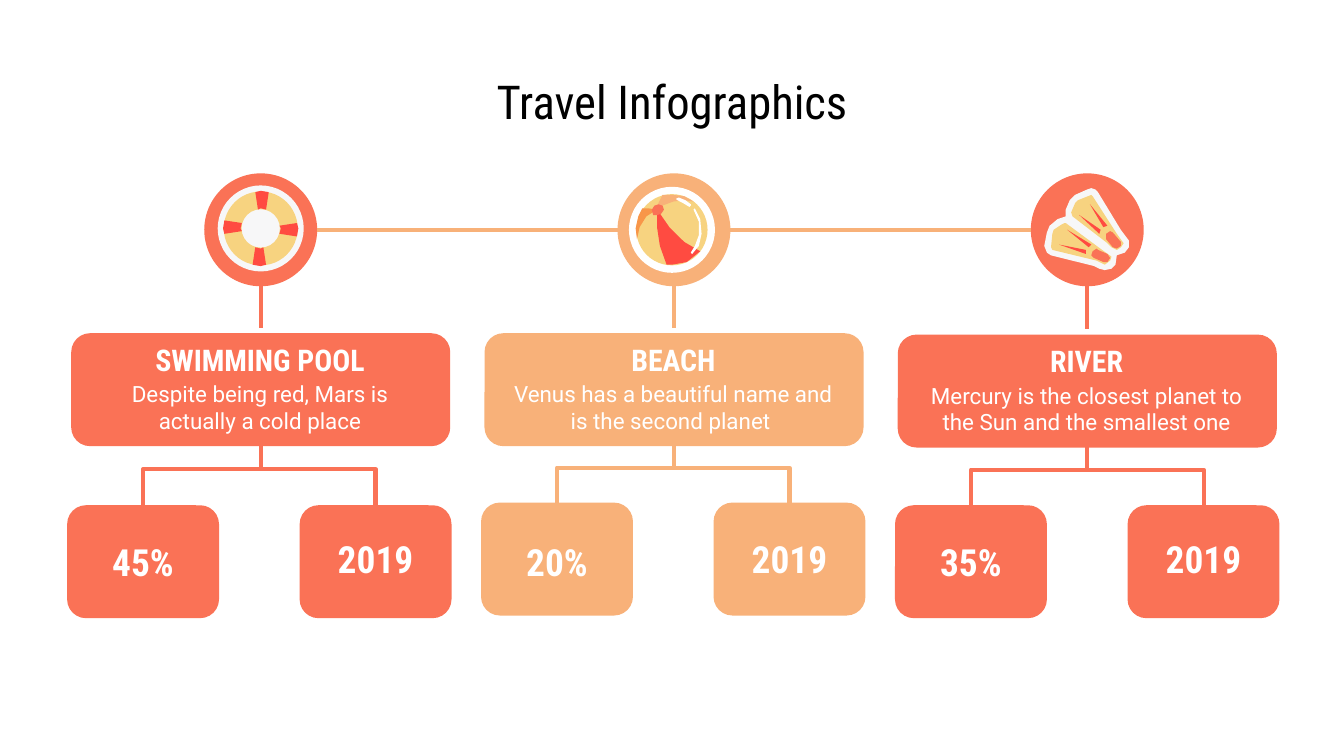
from lxml import etree
from pptx import Presentation
from pptx.dml.color import RGBColor
from pptx.enum.shapes import MSO_CONNECTOR as LINK, MSO_SHAPE as SHAPE
from pptx.enum.text import MSO_ANCHOR as ANCHOR, MSO_AUTO_SIZE as AUTO, PP_ALIGN as ALIGN
from pptx.oxml.ns import qn
from pptx.util import Inches, Pt

CORAL = RGBColor(0xFA, 0x72, 0x56)
PEACH = RGBColor(0xF8, 0xB1, 0x79)
ORANGE = RGBColor(0xF8, 0x96, 0x49)
RED = RGBColor(0xFF, 0x4B, 0x41)
SAND = RGBColor(0xF7, 0xD3, 0x80)
PALE = RGBColor(0xF7, 0xF7, 0xF8)
WHITE = RGBColor(0xFF, 0xFF, 0xFF)
BLACK = RGBColor(0, 0, 0)

HEAD_FONT, BODY_FONT = "Roboto Condensed", "Roboto"
FIRST_CENTER, PITCH = 1.94, 3.075
RING_TOP, RING_SIZE = 1.29, 0.84
BOX_W, BOX_H = 2.82, 0.84
LEAF_W, LEAF_H = 1.13, 0.84
FIRST_LEAF, LEAF_PITCH, LEAF_STEP = 0.5, 3.08, 1.73

prs = Presentation()
prs.slide_width = Inches(10)
prs.slide_height = prs.slide_width * 9 // 16
slide = prs.slides.add_slide(prs.slide_layouts[5])
shapes = slide.shapes


def write(holder, text, size, font, color, bold=False, anchor=ANCHOR.TOP):
    """Put one centred paragraph into a text box or placeholder."""
    frame = holder.text_frame
    frame.text = text
    frame.word_wrap = True
    frame.auto_size = AUTO.NONE
    frame.vertical_anchor = anchor
    frame.margin_left = frame.margin_right = Inches(0.1)
    frame.margin_top = frame.margin_bottom = Inches(0.1)
    paragraph = frame.paragraphs[0]
    paragraph.alignment = ALIGN.CENTER
    style = paragraph.runs[0].font
    style.name, style.size, style.bold = font, Pt(size), bold
    style.color.rgb = color


def paint(item, color):
    """Fill a shape, or stroke a connector, without a shadow."""
    if hasattr(item, "fill"):
        item.fill.solid()
        item.fill.fore_color.rgb = color
        item.line.fill.background()
        item.shadow.inherit = False
    else:
        item.line.color.rgb = color
        item.line.width = Pt(2.25)
        etree.SubElement(item._element.spPr, qn("a:effectLst"))


title = shapes.title
title.left, title.top, title.width, title.height = map(Inches, (0.5, 0.49, 9, 0.57))
write(title, "Travel Infographics", 25, HEAD_FONT, BLACK, anchor=ANCHOR.BOTTOM)

# Destination, description, share, year, colour, box top, leaf top
destinations = [
    ("SWIMMING POOL", "Despite being red, Mars is actually a cold place",
     "45%", "2019", CORAL, 2.48, 3.76),
    ("BEACH", "Venus has a beautiful name and is the second planet ",
     "20%", "2019", PEACH, 2.48, 3.74),
    ("RIVER", "Mercury is the closest planet to the Sun and the smallest one",
     "35%", "2019", CORAL, 2.49, 3.76),
]

for column, (place, description, share, year, color, box_top, leaf_top) in enumerate(destinations):
    center = FIRST_CENTER + column * PITCH
    share_left = FIRST_LEAF + column * LEAF_PITCH
    leaf_lefts = (share_left, share_left + LEAF_STEP)

    ring = shapes.add_shape(SHAPE.OVAL, Inches(center - RING_SIZE / 2), Inches(RING_TOP),
                            Inches(RING_SIZE), Inches(RING_SIZE))
    paint(ring, color)
    stem = shapes.add_connector(LINK.STRAIGHT, Inches(center), Inches(RING_TOP + RING_SIZE),
                                Inches(center), Inches(box_top - 0.04))
    paint(stem, color)

    # Branches: an elbow turned a quarter so that it leaves the box downwards
    branch_top = box_top + 0.74
    drop = leaf_top - branch_top
    middle = branch_top + drop / 2
    for left in leaf_lefts:
        run = left + LEAF_W / 2 - center
        branch_x, reach = center + run / 2, abs(run)
        branch = shapes.add_connector(
            LINK.ELBOW, Inches(branch_x - drop / 2), Inches(middle - reach / 2),
            Inches(branch_x + drop / 2), Inches(middle + reach / 2))
        paint(branch, color)
        xfrm = branch._element.spPr.xfrm
        xfrm.set("rot", str((270 if run > 0 else 90) * 60000))
        if run > 0:
            xfrm.set("flipH", "1")

    box = shapes.add_shape(SHAPE.ROUNDED_RECTANGLE, Inches(center - BOX_W / 2), Inches(box_top),
                           Inches(BOX_W), Inches(BOX_H))
    paint(box, color)
    heading = shapes.add_textbox(Inches(center - 1.35), Inches(box_top - 0.04),
                                 Inches(2.69), Inches(0.3))
    write(heading, place, 16, HEAD_FONT, WHITE, bold=True)
    details = shapes.add_textbox(Inches(center - 1.35), Inches(box_top + 0.25),
                                 Inches(2.69), Inches(0.49))
    write(details, description, 12, BODY_FONT, WHITE)

    for left, value, value_top in zip(leaf_lefts, (share, year), (3.84, 3.82)):
        leaf = shapes.add_shape(SHAPE.ROUNDED_RECTANGLE, Inches(left), Inches(leaf_top),
                                Inches(LEAF_W), Inches(LEAF_H))
        paint(leaf, color)
        figure = shapes.add_textbox(Inches(left), Inches(value_top), Inches(LEAF_W), Inches(0.67))
        write(figure, value, 20, HEAD_FONT, WHITE, bold=True, anchor=ANCHOR.MIDDLE)

for column in range(2):
    start = FIRST_CENTER + column * PITCH + RING_SIZE / 2
    link = shapes.add_connector(LINK.STRAIGHT, Inches(start), Inches(1.71),
                                Inches(start + PITCH - RING_SIZE), Inches(1.71))
    paint(link, PEACH)

# Round parts of the lifebuoy and the ball: preset, centre, diameter, colour
round_parts = [
    (SHAPE.OVAL, 1.94, 1.7, 0.64, PALE),
    (SHAPE.DONUT, 1.94, 1.7, 0.55, SAND),
    (SHAPE.OVAL, 5, 1.71, 0.64, WHITE),
    (SHAPE.OVAL, 5, 1.71, 0.53, SAND),
]
for preset, x, y, diameter, color in round_parts:
    disc = shapes.add_shape(preset, Inches(x - diameter / 2), Inches(y - diameter / 2),
                            Inches(diameter), Inches(diameter))
    paint(disc, color)
    if preset == SHAPE.DONUT:
        disc.adjustments[0] = 0.24

outlines = []

# Lifebuoy: one stripe turned by quarters
stripe = [(-0.04, -0.27), (0, -0.28), (0.06, -0.27), (0.04, -0.14), (0, -0.15), (-0.02, -0.14)]
for turn in range(4):
    outlines.append((RED, [(1.94 + x, 1.7 + y) for x, y in stripe]))
    stripe = [(-y, x) for x, y in stripe]

# Ball: panels, cap and highlights
outlines += [
    (ORANGE, [(4.89, 1.56), (4.82, 1.55), (4.78, 1.55), (4.75, 1.61), (4.73, 1.7),
              (4.74, 1.78), (4.76, 1.69), (4.81, 1.61)]),
    (PEACH, [(5, 1.45), (4.93, 1.45), (4.9, 1.51), (4.88, 1.59), (4.93, 1.53),
             (5.01, 1.5), (5.09, 1.49), (5.16, 1.5), (5.09, 1.46)]),
    (RED, [(4.89, 1.56), (4.89, 1.7), (4.91, 1.83), (4.96, 1.97), (5, 1.97), (5.11, 1.95),
           (5.21, 1.87), (5.09, 1.8), (4.98, 1.69)]),
    (CORAL, [(4.9, 1.52), (4.87, 1.53), (4.85, 1.56), (4.86, 1.6), (4.89, 1.6),
             (4.92, 1.59), (4.94, 1.56), (4.93, 1.53)]),
    (WHITE, [(5.05, 1.47), (5.03, 1.48), (5.04, 1.49), (5.08, 1.51), (5.13, 1.54),
             (5.14, 1.53), (5.14, 1.52), (5.1, 1.49)]),
    (WHITE, [(5.17, 1.55), (5.16, 1.56), (5.2, 1.65), (5.2, 1.75), (5.17, 1.83),
             (5.14, 1.88), (5.15, 1.89), (5.2, 1.83), (5.22, 1.74), (5.21, 1.63)]),
]

# Flippers: shared border, then blade, foot pocket and two ribs for each
outlines += [
    (PALE, [(8.12, 1.4), (8.09, 1.41), (8, 1.45), (7.96, 1.49), (7.93, 1.56), (7.93, 1.61),
            (7.87, 1.63), (7.81, 1.68), (7.79, 1.73), (7.77, 1.83), (7.79, 1.88), (7.82, 1.9),
            (8.14, 1.98), (8.18, 2), (8.22, 2.01), (8.27, 2), (8.3, 1.97), (8.31, 1.9),
            (8.37, 1.88), (8.4, 1.84), (8.4, 1.79), (8.34, 1.71), (8.17, 1.43), (8.15, 1.41)]),
    (SAND, [(8.12, 1.45), (8.02, 1.49), (8, 1.51), (7.97, 1.58), (7.98, 1.61), (8.24, 1.81),
            (8.27, 1.84), (8.31, 1.86), (8.34, 1.84), (8.36, 1.81), (8.31, 1.74), (8.13, 1.46)]),
    (CORAL, [(8.26, 1.72), (8.23, 1.74), (8.23, 1.78), (8.28, 1.84), (8.31, 1.85),
             (8.34, 1.83), (8.34, 1.8), (8.28, 1.73)]),
    (RED, [(8.11, 1.52), (8.21, 1.69), (8.24, 1.68)]),
    (RED, [(8.03, 1.6), (8.18, 1.74), (8.19, 1.71)]),
    (SAND, [(7.92, 1.66), (7.9, 1.67), (7.84, 1.71), (7.83, 1.74), (7.82, 1.84), (7.83, 1.86),
            (8.16, 1.94), (8.22, 1.97), (8.26, 1.94), (8.27, 1.91), (8.2, 1.86), (7.93, 1.66)]),
    (CORAL, [(8.16, 1.85), (8.13, 1.87), (8.12, 1.9), (8.14, 1.92), (8.21, 1.95),
             (8.24, 1.95), (8.26, 1.92), (8.24, 1.89), (8.17, 1.86)]),
    (RED, [(7.88, 1.82), (8.08, 1.89), (8.08, 1.86)]),
    (RED, [(7.94, 1.71), (8.1, 1.84), (8.12, 1.82)]),
]

for color, points in outlines:
    first, *rest = [(Inches(x), Inches(y)) for x, y in points]
    builder = shapes.build_freeform(*first)
    builder.add_line_segments(rest, close=True)
    paint(builder.convert_to_shape(), color)

prs.save("out.pptx")
